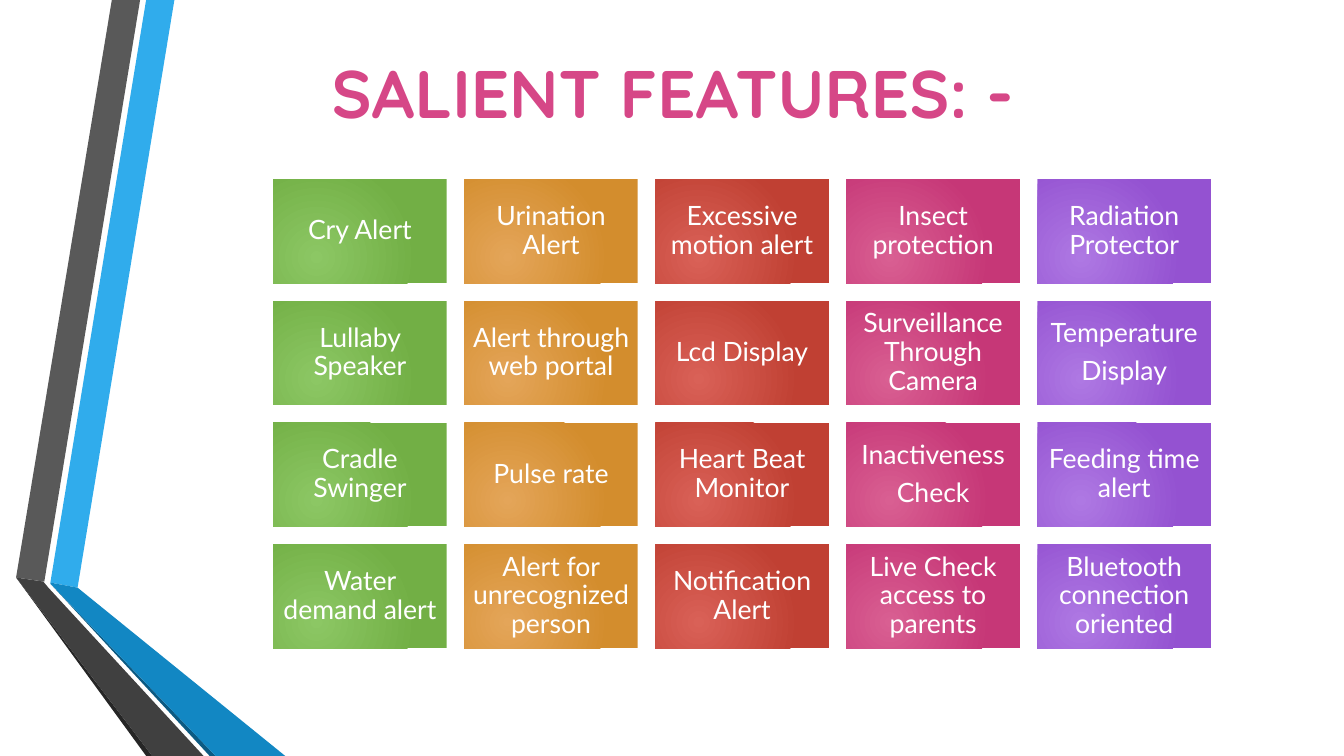
from lxml import etree
from pptx import Presentation
from pptx.dml.color import RGBColor
from pptx.enum.shapes import MSO_SHAPE
from pptx.enum.text import MSO_ANCHOR, MSO_AUTO_SIZE, PP_ALIGN
from pptx.oxml.ns import qn
from pptx.util import Inches, Pt

COLORS = {
    "sky": "30ACEC", "gray": "595959", "black": "262626",
    "navy": "0C5A82", "blue": "1287C3", "charcoal": "404040",
    "title": "D64787", "text": "FFFFFF",
    "green_in": "8CC764", "green_out": "72AF45",
    "orange_in": "E4A559", "orange_out": "D38D2D",
    "red_in": "D96157", "red_out": "C04033",
    "pink_in": "D95F92", "pink_out": "C63777",
    "purple_in": "AE78E3", "purple_out": "9452D1",
}
RIBBONS = [
    ("sky", [(0.5, 5.78), (0.77, 5.83), (1.73, 0), (1.45, 0)]),
    ("gray", [(1.39, 0), (1.11, 0), (0.16, 5.73), (0.44, 5.77)]),
    ("black", [(0.16, 5.73), (1.45, 7.5), (1.51, 7.5)]),
    ("navy", [(0.5, 5.79), (2.08, 7.5), (2.14, 7.5)]),
    ("blue", [(0.5, 5.79), (2.14, 7.5), (2.83, 7.5), (0.77, 5.83), (0.5, 5.78)]),
    ("charcoal", [(2.02, 7.5), (0.48, 5.83), (0.43, 5.77), (0.16, 5.73), (1.51, 7.5)]),
]
COLUMNS = ["green", "orange", "red", "pink", "purple"]
FEATURES = [
    ["Cry Alert", "Urination Alert", "Excessive motion alert",
     "Insect protection", "Radiation Protector"],
    ["Lullaby Speaker", "Alert through web portal", "Lcd Display",
     "Surveillance Through Camera", "Temperature\nDisplay"],
    ["Cradle Swinger", "Pulse rate", "Heart Beat Monitor",
     "Inactiveness\nCheck", "Feeding time alert"],
    ["Water demand alert", "Alert for unrecognized person", "Notification Alert",
     "Live Check access to parents", "Bluetooth connection oriented"],
]


def rgb(name):
    return RGBColor.from_string(COLORS[name])


def style_text(tf, font, size, color, bold=False, after=0):
    for p in tf.paragraphs:
        p.alignment = PP_ALIGN.CENTER
        p.line_spacing = 0.9
        p.space_before = Pt(0)
        p.space_after = Pt(after)
        p.font.name = font
        p.font.size = Pt(size)
        p.font.bold = bold
        p.font.color.rgb = rgb(color)


def radial_fill(sp, color):
    sp.fill.gradient()
    for stop, edge in zip(sp.fill.gradient_stops, ("in", "out")):
        stop.color.rgb = rgb(f"{color}_{edge}")
    grad = sp._element.spPr.find(qn("a:gradFill"))
    grad.remove(grad.find(qn("a:lin")))
    circle = etree.SubElement(grad, qn("a:path"), {"path": "circle"})
    etree.SubElement(circle, qn("a:fillToRect"),
                     {"l": "50000", "t": "100000", "r": "100000", "b": "50000"})


def add_ribbons(s, left, top):
    for color, points in RIBBONS:
        corners = [(Inches(left + x), Inches(top + y)) for x, y in points]
        outline = s.shapes.build_freeform(*corners[0])
        outline.add_line_segments(corners[1:], close=True)
        sp = outline.convert_to_shape()
        sp.shadow.inherit = False
        sp.fill.solid()
        sp.fill.fore_color.rgb = rgb(color)
        sp.line.fill.background()


def add_title(s, left, top, width, height):
    sp = s.shapes.title
    sp.left, sp.top, sp.width, sp.height = map(Inches, (left, top, width, height))
    tf = sp.text_frame
    tf.text = "SALIENT FEATURES: -"
    tf.word_wrap = True
    tf.auto_size = MSO_AUTO_SIZE.NONE
    tf.vertical_anchor = MSO_ANCHOR.TOP
    style_text(tf, "Quicksand", 48, "title", bold=True)


def add_tile(s, text, color, left, top, width, height):
    sp = s.shapes.add_shape(MSO_SHAPE.RECTANGLE, *map(Inches, (left, top, width, height)))
    sp.shadow.inherit = False
    sp.line.fill.background()
    radial_fill(sp, color)
    tf = sp.text_frame
    tf.text = text
    tf.word_wrap = True
    tf.vertical_anchor = MSO_ANCHOR.MIDDLE
    tf.margin_left = tf.margin_right = tf.margin_top = tf.margin_bottom = Inches(0.08)
    style_text(tf, "Lato", 19, "text", after=6.65)


def add_feature_grid(s, left, top, width, height, tile_w=1.72, tile_h=1.03):
    step_x = (width - tile_w) / (len(COLUMNS) - 1)
    step_y = (height - tile_h) / (len(FEATURES) - 1)
    for row, features in enumerate(FEATURES):
        for col, (text, color) in enumerate(zip(features, COLUMNS)):
            add_tile(s, text, color, left + col * step_x, top + row * step_y, tile_w, tile_h)


prs = Presentation()
prs.slide_width, prs.slide_height = Inches(13.33), Inches(7.5)
s = prs.slides.add_slide(prs.slide_layouts[5])
add_ribbons(s, 0, 0)
add_title(s, 2.17, 0.55, 9, 1.06)
add_feature_grid(s, 2.71, 1.78, 9.3, 4.65)
prs.save("out.pptx")
